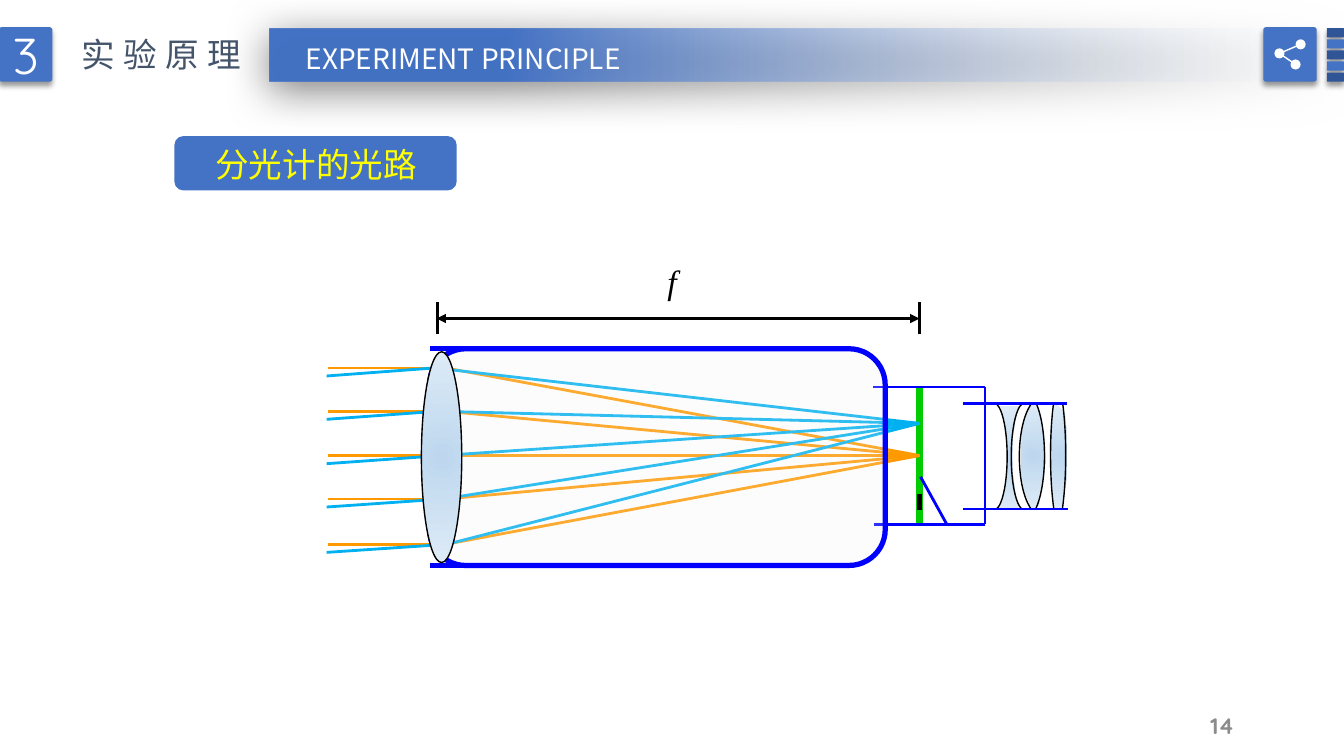
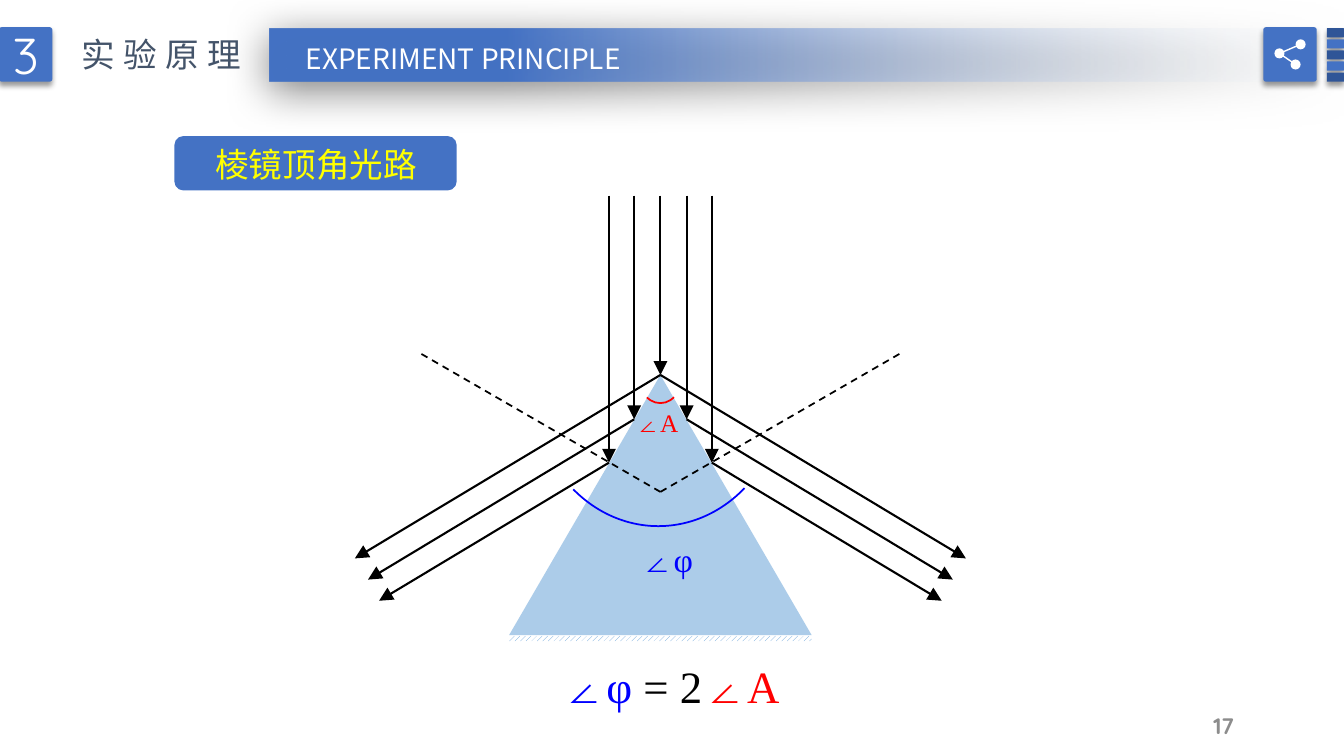
from dataclasses import dataclass

from lxml import etree
from pptx import Presentation
from pptx import util as u
from pptx.dml.color import RGBColor
from pptx.enum import dml, shapes, text
from pptx.oxml.ns import qn

PX = 9144


@dataclass(frozen=True)
class Theme:
    blue: str = "4472C4"
    navy: str = "2F5597"
    slate: str = "44546A"
    mist: str = "F7FAFD"
    white: str = "FFFFFF"
    black: str = "000000"
    grey: str = "8C8C8C"
    haze: str = "F2F2F2"
    yellow: str = "FFFF00"
    outline: str = "0000FF"
    red: str = "FF0000"
    green: str = "00CC00"
    orange: str = "FF9900"
    cyan: str = "00B0F0"
    prism: str = "5B9BD5"
    glass: tuple = ("BDD7EE", "DEEBF7")
    cjk: str = "Noto Sans CJK SC"
    round: str = "Quicksand"
    serif: str = "Times New Roman"
    number: int = 36
    formula: int = 32
    heading: int = 24
    subtitle: int = 20
    label: int = 18
    footer: int = 16


THEME = Theme()
KIND = shapes.MSO_SHAPE
TOP, MIDDLE = text.MSO_ANCHOR.TOP, text.MSO_ANCHOR.MIDDLE
LEFT, CENTER, RIGHT = text.PP_ALIGN.LEFT, text.PP_ALIGN.CENTER, text.PP_ALIGN.RIGHT
TILE_SHADOW = (40, 4, 3, 90)
BAND_SHADOW = (50, 31, 6, 97)


def dress(item, fill=None, line=None, width=1, alpha=None, shadow=None,
          runs=(), size=24, face=THEME.cjk, align=LEFT, frame_format=None, **font_format):
    item.shadow.inherit = False
    properties = item._element.spPr
    if fill is None:
        item.fill.background()
    elif isinstance(fill, tuple):
        item.fill.gradient()
        for stop, color in zip(item.fill.gradient_stops, fill):
            stop.color.rgb = RGBColor.from_string(color)
        gradient = properties.find(qn("a:gradFill"))
        gradient.remove(gradient.find(qn("a:lin")))
        radial = etree.SubElement(gradient, qn("a:path"), {"path": "circle"})
        etree.SubElement(radial, qn("a:fillToRect"), dict.fromkeys("ltrb", "50000"))
    else:
        item.fill.solid()
        item.fill.fore_color.rgb = RGBColor.from_string(fill)
    if alpha:
        color = properties.find(qn("a:solidFill"))[0]
        etree.SubElement(color, qn("a:alpha"), val=str(alpha * 1000))
    if line:
        item.line.color.rgb = RGBColor.from_string(line)
        item.line.width = u.Pt(width)
    else:
        item.line.fill.background()
    if shadow:
        opacity, blur, distance, angle = shadow
        outer = etree.SubElement(
            properties.find(qn("a:effectLst")), qn("a:outerShdw"), blurRad=str(u.Pt(blur)),
            dist=str(u.Pt(distance)), dir=str(angle * 60000), algn="ctr", rotWithShape="0")
        color = etree.SubElement(outer, qn("a:srgbClr"), val=THEME.black)
        etree.SubElement(color, qn("a:alpha"), val=str(opacity * 1000))
    if runs:
        settings = {"word_wrap": False, "vertical_anchor": TOP,
                    "auto_size": text.MSO_AUTO_SIZE.NONE, **(frame_format or {})}
        for name, value in settings.items():
            setattr(item.text_frame, name, value)
        para = item.text_frame.paragraphs[0]
        para.alignment = align
        for words, color in runs:
            span = para.add_run()
            span.text = words
            for name, value in {"size": u.Pt(size), "name": face, **font_format}.items():
                setattr(span.font, name, value)
            span.font.color.rgb = RGBColor.from_string(color)
            etree.SubElement(span._r.get_or_add_rPr(), qn("a:ea"), typeface=face)
    return item


def stroke(page, begin, end, color, width, dash=None, arrows=(), arrow_size="med"):
    ends = [value * PX for value in (*begin, *end)]
    line = page.shapes.add_connector(shapes.MSO_CONNECTOR.STRAIGHT, *ends)
    line.line.color.rgb = RGBColor.from_string(color)
    line.line.width = u.Pt(width)
    if dash:
        line.line.dash_style = dash
    properties = line._element.spPr
    for arrow in arrows:
        etree.SubElement(properties.find(qn("a:ln")), qn(f"a:{arrow}"),
                         type="triangle", w=arrow_size, len=arrow_size)
    etree.SubElement(properties, qn("a:effectLst"))


deck = Presentation()
deck.slide_width, deck.slide_height = 1333 * PX, 750 * PX
pages = []

for topic, page_number in (("分光计的光路", "14"), ("棱镜顶角光路", "17")):
    page = deck.slides.add_slide(deck.slide_layouts[5])
    pages.append(page)

    band = page.shapes.add_shape(KIND.RECTANGLE, 267 * PX, 28 * PX, 1067 * PX, 53 * PX)
    dress(band, THEME.blue, shadow=BAND_SHADOW)
    band.fill.gradient()
    band.fill.gradient_angle = 180
    fade, solid = band.fill.gradient_stops
    fade.color.rgb = RGBColor.from_string(THEME.mist)
    solid.color.rgb = RGBColor.from_string(THEME.blue)
    solid.position = 0.78
    faded = band._element.spPr.find(".//" + qn("a:srgbClr"))
    etree.SubElement(faded, qn("a:alpha"), val="0")

    tiles = [(-1, 27, 53, 54, THEME.blue), (1253, 27, 53, 54, THEME.blue)]
    for index in range(5):
        tiles.append((1316, 28 + 11 * index, 17, 9, THEME.blue if index % 2 else THEME.navy))
    for left, top, width, height, color in tiles:
        tile = page.shapes.add_shape(
            KIND.ROUNDED_RECTANGLE, left * PX, top * PX, width * PX, height * PX)
        tile.adjustments[0] = 0.05
        section = [("3", THEME.white)] if left < 0 else ()
        dress(tile, color, shadow=TILE_SHADOW, runs=section, size=THEME.number,
              face=THEME.round, align=CENTER, frame_format={"vertical_anchor": MIDDLE})

    nodes = ((1290, 44), (1269, 53), (1285, 64))
    for begin, end in zip(nodes, nodes[1:]):
        stroke(page, begin, end, THEME.white, 1)
    for x, y in nodes:
        dress(page.shapes.add_shape(KIND.OVAL, (x - 5) * PX, (y - 5) * PX, 10 * PX, 10 * PX),
              THEME.white)

    title = page.shapes.title
    for name, value in {"left": 71, "top": 29, "width": 188, "height": 50}.items():
        setattr(title, name, value * PX)
    dress(title, runs=[("实验原理", THEME.slate)], size=THEME.heading)
    title.text_frame.paragraphs[0].runs[0]._r.get_or_add_rPr().set("spc", "600")

    subtitle = page.shapes.add_textbox(288 * PX, 36 * PX, 343 * PX, 44 * PX)
    dress(subtitle, runs=[("EXPERIMENT PRINCIPLE", THEME.white)],
          size=THEME.subtitle, align=CENTER)

    footer = page.shapes.add_textbox(934 * PX, 700 * PX, 300 * PX, 40 * PX)
    dress(footer, runs=[(page_number, THEME.grey)], size=THEME.footer, face=THEME.round,
          align=RIGHT, bold=True, frame_format={"word_wrap": True, "vertical_anchor": MIDDLE})

    pill = page.shapes.add_shape(KIND.ROUNDED_RECTANGLE, 173 * PX, 135 * PX, 280 * PX, 54 * PX)
    dress(pill, THEME.blue, runs=[(topic, THEME.yellow)], size=THEME.heading,
          frame_format={"margin_left": 38 * PX})

telescope, prism_page = pages

eyepiece_glass = (
    ((1046, 400), (1056, 409), (1058, 429), (1058, 455), (1058, 473), (1056, 487), (1054, 498),
     (1052, 506), (1047, 506), (1045, 498), (1044, 478), (1043, 462), (1043, 434), (1044, 421)),
    ((1022, 400), (1028, 400), (1031, 410), (1034, 424), (1036, 442), (1037, 456), (1035, 471),
     (1031, 491), (1031, 500), (1028, 504), (1023, 504), (1021, 499), (1016, 487), (1013, 468),
     (1013, 446), (1014, 429), (1016, 418)),
    ((991, 403), (1011, 403), (1007, 417), (1004, 437), (1004, 466), (1007, 489), (1010, 505),
     (991, 504), (995, 494), (998, 475), (999, 457), (999, 436), (996, 419)),
)
for points in eyepiece_glass:
    builder = telescope.shapes.build_freeform(*points[0], scale=PX)
    builder.add_line_segments(points[1:], close=True)
    dress(builder.convert_to_shape(), THEME.glass)

eyepiece_arcs = (
    (973, 400, 26, 106, 273.5, 88.4, False),
    (1003, 400, 26, 106, 272, 86.9, True),
    (1033, 374, 24, 155, 279.8, 81, False),
    (1042, 374, 24, 155, 279.8, 80.4, True),
    (998, 389, 38, 126, 282.4, 78.7, False),
    (1011, 395, 42, 116, 280.9, 79.2, True),
)
for left, top, width, height, start, stop, mirrored in eyepiece_arcs:
    arc = telescope.shapes.add_shape(KIND.ARC, left * PX, top * PX, width * PX, height * PX)
    arc.adjustments[0], arc.adjustments[1] = start * 0.6, stop * 0.6
    if mirrored:
        arc._element.spPr.find(qn("a:xfrm")).set("flipH", "1")
    dress(arc, line=THEME.black)

tube_lines = (
    ((1058, 400), (955, 400), THEME.outline, 2),
    ((1059, 505), (955, 505), THEME.outline, 2),
    ((912, 520), (912, 384), THEME.green, 5),
    ((977, 384), (866, 384), THEME.outline, 2),
    ((652, 346), (426, 346), THEME.outline, 3.75),
    ((652, 561), (426, 561), THEME.outline, 3.75),
    ((977, 520), (867, 520), THEME.outline, 2),
    ((977, 520), (977, 384), THEME.outline, 2),
    ((913, 473), (939, 520), THEME.outline, 2),
    ((912, 300), (912, 331), THEME.black, 2.25),
    ((434, 300), (434, 331), THEME.black, 2.25),
)
for begin, end, color, width in tube_lines:
    stroke(telescope, begin, end, color, width)
stroke(telescope, (912, 316), (433, 316), THEME.black, 2.25, arrows=("headEnd", "tailEnd"))

focal_label = telescope.shapes.add_textbox(652 * PX, 254 * PX, 42 * PX, 50 * PX)
dress(focal_label, runs=[("f", THEME.black)], size=THEME.heading, face=THEME.serif, italic=True)

lens_hits = ((431, 365), (434, 408), (437, 452), (440, 495), (443, 540))
for x, y in lens_hits:
    stroke(telescope, (426, y), (325, y), THEME.orange, 2)
    stroke(telescope, (912, 452), (442, y), THEME.orange, 2)
for x, y in lens_hits:
    stroke(telescope, (x, y), (324, y + 8), THEME.cyan, 2)
    stroke(telescope, (912, 420), (x, y), THEME.cyan, 2)
stroke(telescope, (912, 490), (912, 506), THEME.black, 3.5)

tube = telescope.shapes.add_shape(
    KIND.ROUNDED_RECTANGLE, 426 * PX, 346 * PX, 452 * PX, 215 * PX)
dress(tube, THEME.haze, THEME.outline, 3.75, alpha=20)
lens = telescope.shapes.add_shape(KIND.OVAL, 418 * PX, 349 * PX, 40 * PX, 209 * PX)
dress(lens, THEME.glass, THEME.black)

prism = prism_page.shapes.add_shape(
    KIND.ISOSCELES_TRIANGLE, 505 * PX, 372 * PX, 300 * PX, 258 * PX)
dress(prism, THEME.prism, alpha=50)
base = prism_page.shapes.add_shape(KIND.RECTANGLE, 505 * PX, 631 * PX, 300 * PX, 5 * PX)
dress(base)
base.fill.patterned()
base.fill.pattern = dml.MSO_PATTERN.WIDE_UPWARD_DIAGONAL
base.fill.fore_color.rgb = RGBColor.from_string(THEME.prism)
base.fill.back_color.rgb = RGBColor.from_string(THEME.white)

axis = 655
hit_heights = {0: 372, 26: 416, 51: 459}
for offset in (-51, -26, 0, 26, 51):
    stroke(prism_page, (axis + offset, 194), (axis + offset, hit_heights[abs(offset)]),
           THEME.black, 1.5, arrows=("tailEnd",), arrow_size="lg")
reflected_ends = ((303, 554), (290, 575), (279, 596))
for side in (-1, 1):
    stroke(prism_page, (axis, 488), (axis + side * 239, 350), THEME.black, 1.25,
           dash=dml.MSO_LINE.DASH)
    for (offset, height), (reach, end_height) in zip(hit_heights.items(), reflected_ends):
        stroke(prism_page, (axis + side * offset, height), (axis + side * reach, end_height),
               THEME.black, 1.5, arrows=("tailEnd",), arrow_size="lg")

angle_arcs = ((635, 356, 40, 44, THEME.red), (528, 243, 250, 279, THEME.outline))
for left, top, width, height, color in angle_arcs:
    arc = prism_page.shapes.add_shape(KIND.ARC, left * PX, top * PX, width * PX, height * PX)
    arc.adjustments[0], arc.adjustments[1] = 50 * 0.6, 129.3 * 0.6
    dress(arc, line=color, width=1.25)

angle_labels = (
    (620, 399, 64, 40, THEME.label, [("∠A", THEME.red)]),
    (625, 530, 73, 50, THEME.heading, [("∠φ", THEME.outline)]),
    (547, 649, 238, 64, THEME.formula,
     [("∠φ ", THEME.outline), ("= 2", THEME.black), ("∠A", THEME.red)]),
)
for left, top, width, height, size, runs in angle_labels:
    box = prism_page.shapes.add_textbox(left * PX, top * PX, width * PX, height * PX)
    dress(box, runs=runs, size=size, face=THEME.serif)

deck.save("out.pptx")
